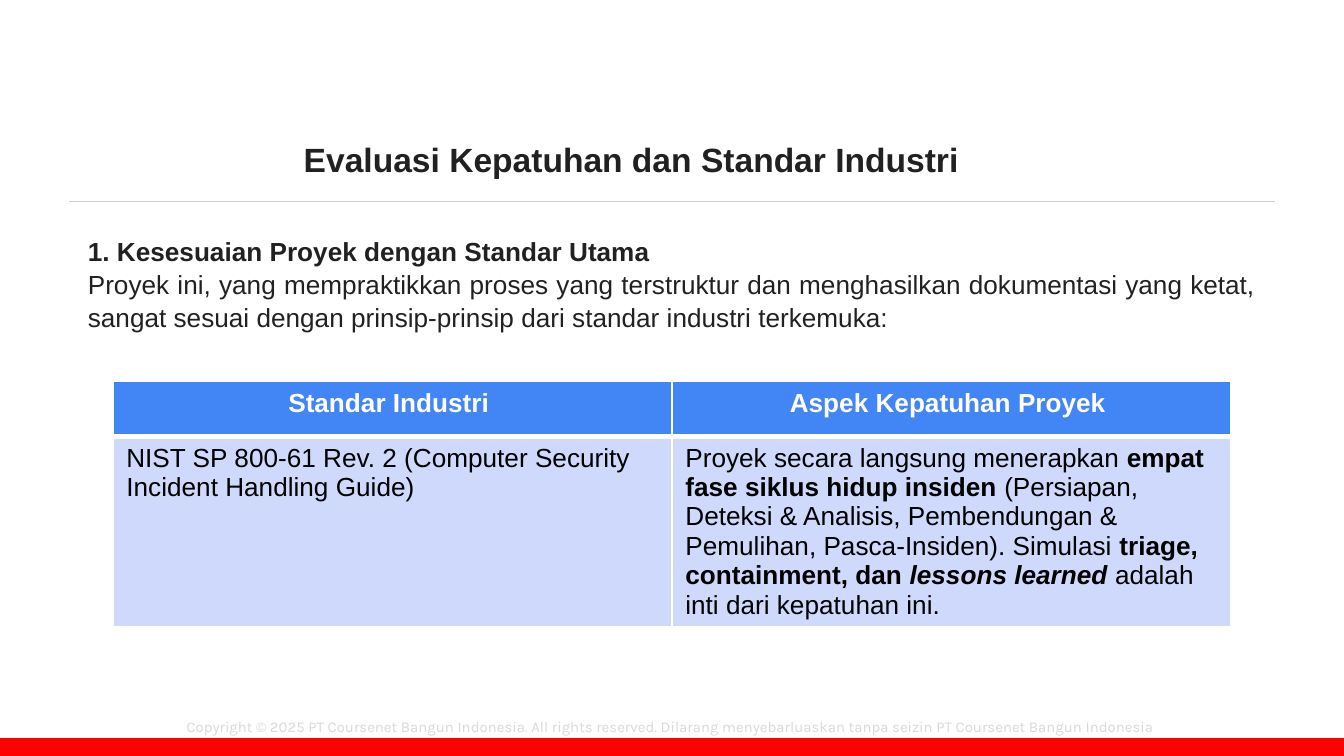
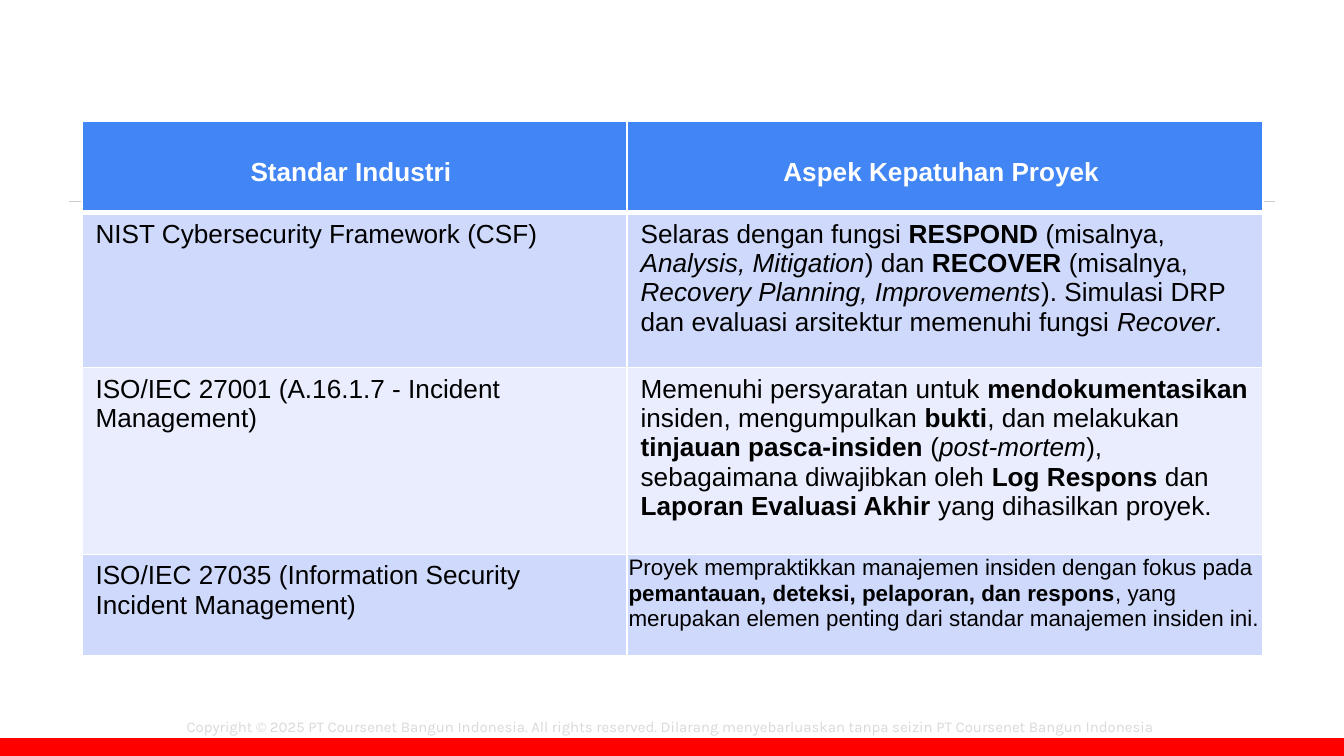
from lxml.etree import SubElement
from pptx import Presentation
from pptx.dml.color import RGBColor
from pptx.enum.shapes import MSO_CONNECTOR, MSO_SHAPE
from pptx.enum.text import MSO_ANCHOR, MSO_AUTO_SIZE, PP_ALIGN
from pptx.oxml import parse_xml
from pptx.oxml.ns import nsdecls, qn
from pptx.util import Pt

RED = RGBColor(0xFF, 0x00, 0x00)
RULE_GREY = RGBColor(0xCC, 0xCC, 0xCC)
FOOTER_GREY = RGBColor(0xD9, 0xD9, 0xD9)
INK = RGBColor(0x21, 0x21, 0x21)
BLACK = RGBColor(0x00, 0x00, 0x00)
WHITE = RGBColor(0xFF, 0xFF, 0xFF)
HEADER_BLUE = RGBColor(0x42, 0x85, 0xF4)
BANDS = [RGBColor(0xCF, 0xD9, 0xFB), RGBColor(0xE9, 0xED, 0xFD)]

COPYRIGHT = ("Copyright © 2025 PT Coursenet Bangun Indonesia. All rights reserved. "
             "Dilarang menyebarluaskan tanpa seizin PT Coursenet Bangun Indonesia")
TITLE = "Evaluasi Kepatuhan dan Standar Industri"
INTRO_HEADING = "1. Kesesuaian Proyek dengan Standar Utama"
INTRO_BODY = ("Proyek ini, yang mempraktikkan proses yang terstruktur dan menghasilkan "
              "dokumentasi yang ketat, sangat sesuai dengan prinsip-prinsip dari standar "
              "industri terkemuka:")
HEADINGS = ["Standar Industri ", "Aspek Kepatuhan Proyek "]

MAIN_STANDARD = {
    "at": (60.5, 204.5), "columns": [299.5, 299.5], "heights": [29.5, 101],
    "heading_spacing": 1.0,
    "rows": [
        ("NIST SP 800-61 Rev. 2 (Computer Security Incident Handling Guide)",
         [("Proyek secara langsung menerapkan ", ""),
          ("empat fase siklus hidup insiden", "b"),
          (" (Persiapan, Deteksi & Analisis, Pembendungan & Pemulihan, Pasca-Insiden). "
           "Simulasi ", ""),
          ("triage, containment, dan ", "b"),
          ("lessons learned ", "bi"),
          ("adalah inti dari kepatuhan ini.", "")], {}),
    ],
}
OTHER_STANDARDS = {
    "at": (44, 65), "columns": [292, 340.5], "heights": [49, 83, 100, 54.5],
    "heading_spacing": 2.0,
    "rows": [
        ("NIST Cybersecurity Framework (CSF)",
         [("Selaras dengan fungsi ", ""), ("RESPOND", "b"), (" (misalnya, ", ""),
          ("Analysis, Mitigation", "i"), (") dan ", ""), ("RECOVER", "b"),
          (" (misalnya, ", ""), ("Recovery Planning, Improvements", "i"),
          ("). Simulasi DRP dan evaluasi arsitektur memenuhi fungsi ", ""),
          ("Recover", "i"), (".", "")], {}),
        ("ISO/IEC 27001 (A.16.1.7 - Incident Management)",
         [("Memenuhi persyaratan untuk ", ""), ("mendokumentasikan ", "b"),
          ("insiden, mengumpulkan ", ""), ("bukti", "b"), (", dan melakukan ", ""),
          ("tinjauan pasca-insiden", "b"), (" (", ""), ("post-mortem", "i"),
          ("), sebagaimana diwajibkan oleh ", ""), ("Log Respons", "b"), (" dan ", ""),
          ("Laporan Evaluasi Akhir", "b"), (" yang dihasilkan proyek.", "")], {}),
        ("ISO/IEC 27035 (Information Security Incident Management)",
         [("Proyek mempraktikkan manajemen insiden dengan fokus pada ", ""),
          ("pemantauan, deteksi, pelaporan, dan respons", "b"),
          (", yang merupakan elemen penting dari standar manajemen insiden ini.", "")],
         {"size": 12, "inset": 0.72}),
    ],
}


def set_all(target, values):
    for key, value in values.items():
        setattr(target, key, value)


def place(part, left, top, width, height):
    set_all(part, {"left": Pt(left), "top": Pt(top), "width": Pt(width), "height": Pt(height)})


def inset(part, amount):
    set_all(part, {f"margin_{side}": Pt(amount) for side in ("left", "top", "right", "bottom")})


def write(paragraph, runs, color, size=14, font="Arial", align=PP_ALIGN.LEFT, spacing=1.0):
    set_all(paragraph, {"alignment": align, "line_spacing": spacing})
    for text, style in runs:
        run = paragraph.add_run()
        run.text = text
        set_all(run.font, {"name": font, "size": Pt(size),
                           "bold": "b" in style, "italic": "i" in style})
        run.font.color.rgb = color


def prepare(frame, anchor=MSO_ANCHOR.TOP):
    set_all(frame, {"word_wrap": True, "auto_size": MSO_AUTO_SIZE.NONE,
                    "vertical_anchor": anchor})
    inset(frame, 7.2)
    return frame


def add_text_frame(slide, at, anchor=MSO_ANCHOR.TOP):
    return prepare(slide.shapes.add_textbox(*map(Pt, at)).text_frame, anchor)


def add_common(slide):
    slide.background.fill.solid()
    slide.background.fill.fore_color.rgb = WHITE
    band = slide.shapes.add_shape(MSO_SHAPE.RECTANGLE, Pt(-2), Pt(395.5), Pt(722), Pt(18))
    band.shadow.inherit = False
    band.fill.solid()
    band.fill.fore_color.rgb = RED
    band.line.fill.background()
    rule = slide.shapes.add_connector(MSO_CONNECTOR.STRAIGHT, Pt(37), Pt(108), Pt(683), Pt(108))
    rule.line.color.rgb = RULE_GREY
    rule.line.width = Pt(0.75)
    SubElement(rule.element.spPr, qn("a:effectLst"))
    footer = add_text_frame(slide, (28, 380, 663, 19), MSO_ANCHOR.MIDDLE)
    write(footer.paragraphs[0], [(COPYRIGHT, "")], FOOTER_GREY, 8, "Karla", PP_ALIGN.CENTER)


def add_borders(cell, bottom):
    properties = cell._tc.get_or_add_tcPr()
    for index, side in enumerate("LRTB"):
        width = Pt(bottom if side == "B" else 1)
        properties.insert(index, parse_xml(
            f'<a:ln{side} {nsdecls("a")} w="{width}"><a:solidFill>'
            f'<a:srgbClr val="{WHITE}"/></a:solidFill></a:ln{side}>'))


def style_cell(cell, fill, bottom=1):
    cell.fill.solid()
    cell.fill.fore_color.rgb = fill
    add_borders(cell, bottom)


def add_standards(slide, content):
    columns, heights = content["columns"], content["heights"]
    table = slide.shapes.add_table(len(heights), len(columns), *map(Pt, content["at"]),
                                   Pt(sum(columns)), Pt(sum(heights))).table
    for column, width in zip(table.columns, columns):
        column.width = Pt(width)
    for row, height in zip(table.rows, heights):
        row.height = Pt(height)
    for cell, heading in zip(table.rows[0].cells, HEADINGS):
        style_cell(cell, HEADER_BLUE, 3)
        write(cell.text_frame.paragraphs[0], [(heading, "b")], WHITE,
              align=PP_ALIGN.CENTER, spacing=content["heading_spacing"])
    for number, (standard, aspect, extra) in enumerate(content["rows"]):
        standard_cell, aspect_cell = table.rows[number + 1].cells
        for cell in (standard_cell, aspect_cell):
            style_cell(cell, BANDS[number % 2])
        write(standard_cell.text_frame.paragraphs[0], [(standard, "")], BLACK)
        write(aspect_cell.text_frame.paragraphs[0], aspect, BLACK, extra.get("size", 14))
        if "inset" in extra:
            inset(aspect_cell, extra["inset"])


def add_title(slide):
    title = slide.shapes.title
    place(title, 155.5, 57, 671, 45.5)
    heading = prepare(title.text_frame).paragraphs[0]
    write(heading, [(TITLE, "b")], INK, 18)
    write(heading, [(" ", "b")], INK, 28, "Karla")


def add_intro(slide):
    intro = add_text_frame(slide, (40, 118, 640, 70))
    write(intro.paragraphs[0], [(INTRO_HEADING, "b")], INK, spacing=1.05)
    write(intro.add_paragraph(), [(INTRO_BODY, "")], INK,
          align=PP_ALIGN.JUSTIFY, spacing=1.05)


def main():
    deck = Presentation()
    set_all(deck, {"slide_width": Pt(720), "slide_height": Pt(405)})
    title_only, blank = deck.slide_layouts[5], deck.slide_layouts[6]

    evaluation = deck.slides.add_slide(title_only)
    add_common(evaluation)
    add_title(evaluation)
    add_intro(evaluation)
    add_standards(evaluation, MAIN_STANDARD)

    continuation = deck.slides.add_slide(blank)
    add_common(continuation)
    add_standards(continuation, OTHER_STANDARDS)

    deck.save("out.pptx")


if __name__ == "__main__":
    main()
